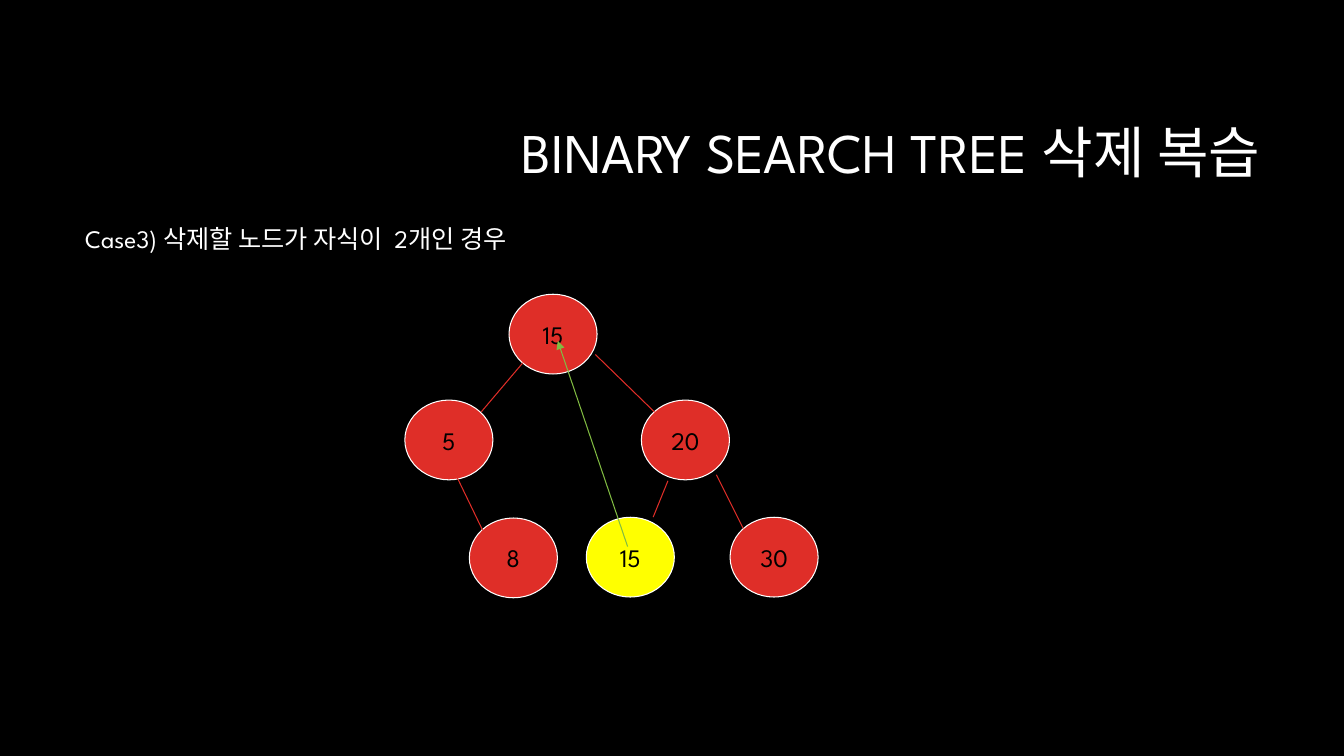
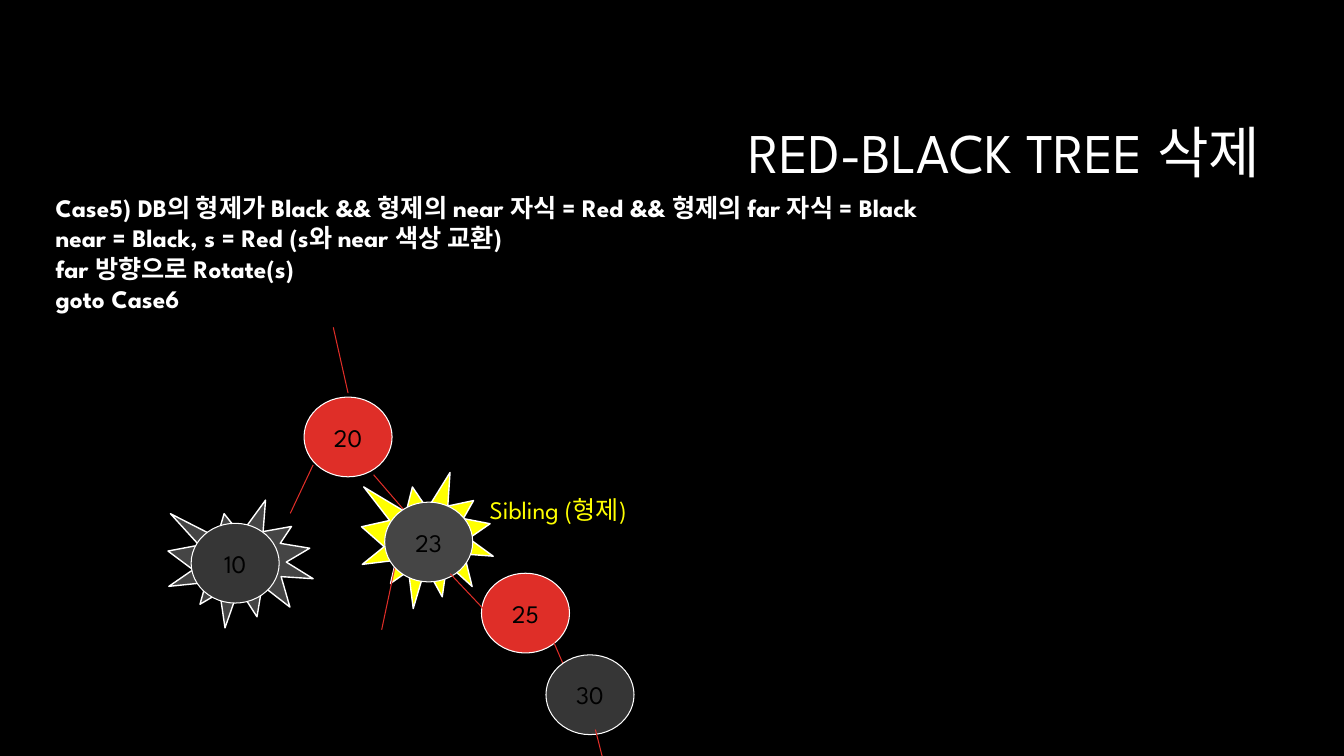
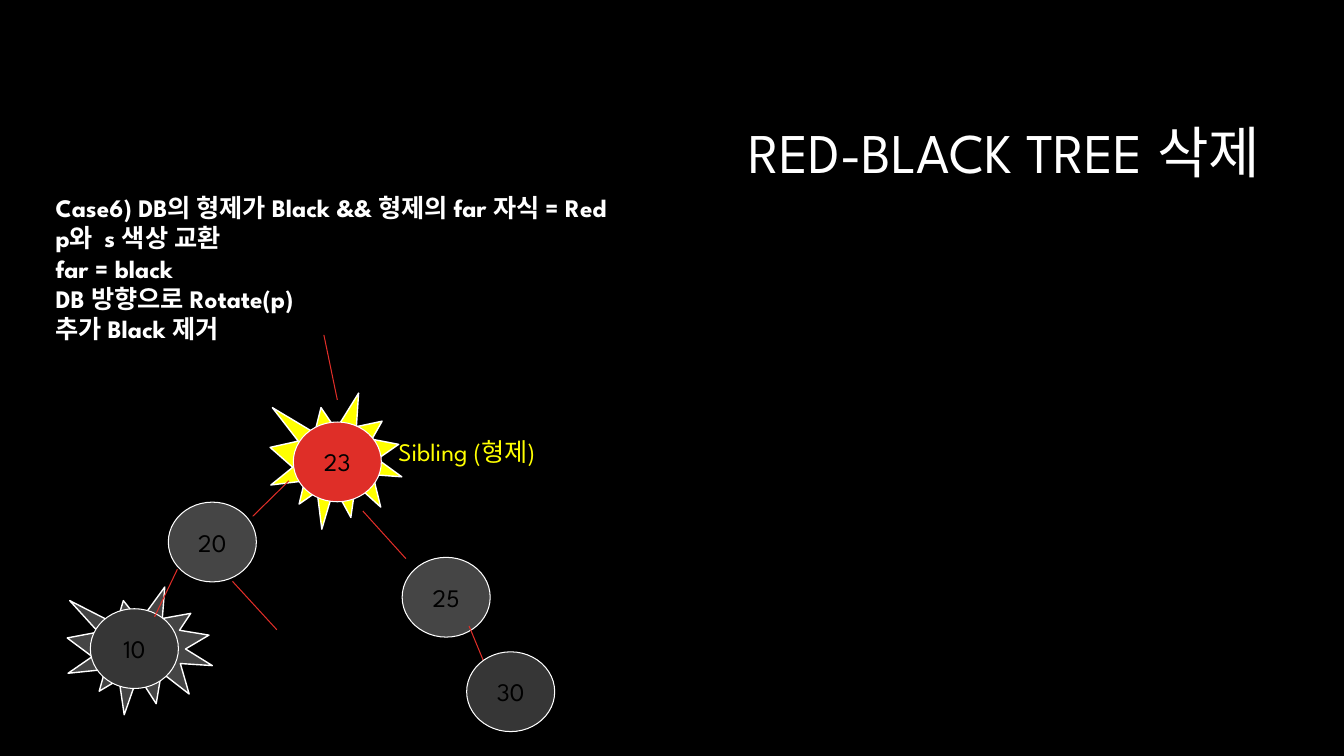
from lxml.etree import SubElement
from pptx import Presentation
from pptx.dml.color import RGBColor
from pptx.enum.shapes import MSO_CONNECTOR as Connector, MSO_SHAPE as Shape
from pptx.enum.text import MSO_ANCHOR as Anchor, PP_ALIGN as Align
from pptx.oxml.ns import qn
from pptx.util import Inches, Pt

WIDTH, HEIGHT = Inches(13.33), Inches(7.5)
FONT = "League Spartan"
BLACK, WHITE, RED, YELLOW = "000000", "FFFFFF", "DF2E28", "FFFF00"
GRAY, DARK, GREEN = "454545", "363636", "81BB42"
NODE_SIZE = (6.55, 10.55)
SIBLING_BURST = (9.8, 18)
DOUBLE_BLACK_BURST = (10.8, 16.9)


def color(value):
    return RGBColor.from_string(value)


def across(percent):
    return int(WIDTH * percent / 100)


def down(percent):
    return int(HEIGHT * percent / 100)


def style(paragraph, size, value, bold=False):
    font = paragraph.font
    font.name, font.size, font.bold = FONT, Pt(size), bold
    font.color.rgb = color(value)


def add_text(slide, left, top, width, height, lines, value=WHITE, size=18, bold=False):
    box = slide.shapes.add_textbox(across(left), down(top), across(width), down(height))
    frame = box.text_frame
    frame.word_wrap = True
    frame.text = "\n".join(lines)
    for paragraph in frame.paragraphs:
        style(paragraph, size, value, bold)
    return frame


def add_titled_slide(presentation, title):
    slide = presentation.slides.add_slide(presentation.slide_layouts[6])
    frame = add_text(slide, 23.8, 11.2, 70.7, 18.8, [title], size=40)
    frame.vertical_anchor = Anchor.MIDDLE
    frame.paragraphs[0].alignment = Align.RIGHT
    frame.paragraphs[0].line_spacing = 0.9
    return slide


def add_centered(slide, kind, x, y, size, fill, line_width):
    width, height = size
    shape = slide.shapes.add_shape(
        kind, across(x - width / 2), down(y - height / 2), across(width), down(height))
    shape.shadow.inherit = False
    shape.fill.solid()
    shape.fill.fore_color.rgb = color(fill)
    shape.line.color.rgb = color(WHITE)
    shape.line.width = Pt(line_width)
    return shape


def add_burst(slide, x, y, size, fill):
    add_centered(slide, Shape.EXPLOSION1, x, y, size, fill, 1)


def add_nodes(slide, nodes):
    for key, x, y, fill in nodes:
        frame = add_centered(slide, Shape.OVAL, x, y, NODE_SIZE, fill, 0.75).text_frame
        frame.text = key
        frame.vertical_anchor = Anchor.MIDDLE
        paragraph = frame.paragraphs[0]
        paragraph.alignment = Align.CENTER
        style(paragraph, 18, BLACK)


def add_edges(slide, edges, value=RED, arrow=False):
    for x1, y1, x2, y2 in edges:
        edge = slide.shapes.add_connector(
            Connector.STRAIGHT, across(x1), down(y1), across(x2), down(y2))
        edge.line.color.rgb = color(value)
        edge.line.width = Pt(0.75)
        if arrow:
            SubElement(edge.line._get_or_add_ln(), qn("a:tailEnd"), type="triangle")
        SubElement(edge._element.spPr, qn("a:effectLst"))


def add_case(slide, lines):
    add_text(slide, 3.4, 24.8, 89, 21.6, lines, bold=True)


def add_sibling_label(slide, left, top):
    add_text(slide, left, top, 31, 5.3, ["Sibling (형제)"], YELLOW)


def build_search_tree(presentation):
    slide = add_titled_slide(presentation, "BINARY SEARCH TREE 삭제 복습")
    add_text(slide, 5.6, 28.9, 47.7, 5.3, ["Case3) 삭제할 노드가 자식이  2개인 경우"])
    add_nodes(slide, [
        ("20", 51, 58.2, RED),
        ("5", 33.4, 58.2, RED),
        ("15", 41.15, 44.2, RED),
        ("30", 57.6, 73.7, RED),
        ("15", 46.9, 73.7, YELLOW),
        ("8", 38.2, 73.8, RED),
    ])
    add_edges(slide, [
        (38.9, 48, 35.8, 54.5),
        (49.7, 63.6, 48.6, 68.4),
        (53.3, 62.8, 55.3, 69.9),
        (44.3, 46.9, 48.7, 54.5),
        (34, 63.1, 35.9, 70.1),
    ])
    add_edges(slide, [(46.7, 72.3, 41.5, 45.1)], GREEN, arrow=True)


def build_near_red(presentation):
    slide = add_titled_slide(presentation, "RED-BLACK TREE 삭제")
    add_case(slide, [
        "Case5) DB의 형제가 Black && 형제의 near 자식 = Red && 형제의 far 자식 = Black",
        "near = Black, s = Red (s와 near 색상 교환)",
        "far 방향으로 Rotate(s)",
        "goto Case6",
    ])
    add_burst(slide, 31.8, 71.5, SIBLING_BURST, YELLOW)
    add_burst(slide, 17.9, 74.6, DOUBLE_BLACK_BURST, GRAY)
    add_nodes(slide, [
        ("20", 25.9, 57.8, RED),
        ("10", 17.5, 74.5, DARK),
        ("25", 39.1, 81.1, RED),
    ])
    add_edges(slide, [
        (24.8, 43.3, 25.9, 52),
        (23.3, 61.5, 21.6, 67.9),
        (27.8, 62.8, 30.9, 69.2),
        (29.4, 74.9, 28.4, 83.3),
        (40.8, 83.3, 42.5, 90.3),
    ])
    add_nodes(slide, [("30", 43.9, 91.9, DARK), ("23", 31.9, 71.7, GRAY)])
    add_edges(slide, [(44.3, 96.5, 44.8, 100), (33.5, 75.9, 36.8, 82.1)])
    add_sibling_label(slide, 35.7, 64.7)


def build_far_red(presentation):
    slide = add_titled_slide(presentation, "RED-BLACK TREE 삭제")
    add_case(slide, [
        "Case6) DB의 형제가 Black && 형제의 far 자식 = Red",
        "p와  s 색상 교환",
        "far = black",
        "DB 방향으로 Rotate(p)",
        "추가 Black 제거",
    ])
    add_burst(slide, 25, 61, SIBLING_BURST, YELLOW)
    add_burst(slide, 10.4, 86.1, DOUBLE_BLACK_BURST, GRAY)
    add_nodes(slide, [
        ("20", 15.8, 71.7, GRAY),
        ("10", 10, 85.8, DARK),
        ("25", 33.2, 79, GRAY),
        ("23", 25.1, 61.1, RED),
    ])
    add_edges(slide, [
        (24.1, 44.3, 25.1, 52.9),
        (21.5, 63.6, 18.8, 68.3),
        (13.2, 75.3, 11.5, 81.6),
        (17.3, 76.9, 20.6, 83.3),
        (27, 67.6, 30.2, 73.9),
        (34.9, 82.8, 36.5, 89.7),
    ])
    add_nodes(slide, [("30", 38, 91.5, DARK)])
    add_sibling_label(slide, 28.9, 57.1)


def main():
    presentation = Presentation()
    presentation.slide_width, presentation.slide_height = WIDTH, HEIGHT
    background = presentation.slide_master.background.fill
    background.solid()
    background.fore_color.rgb = color(BLACK)
    build_search_tree(presentation)
    build_near_red(presentation)
    build_far_red(presentation)
    presentation.save("out.pptx")


if __name__ == "__main__":
    main()
